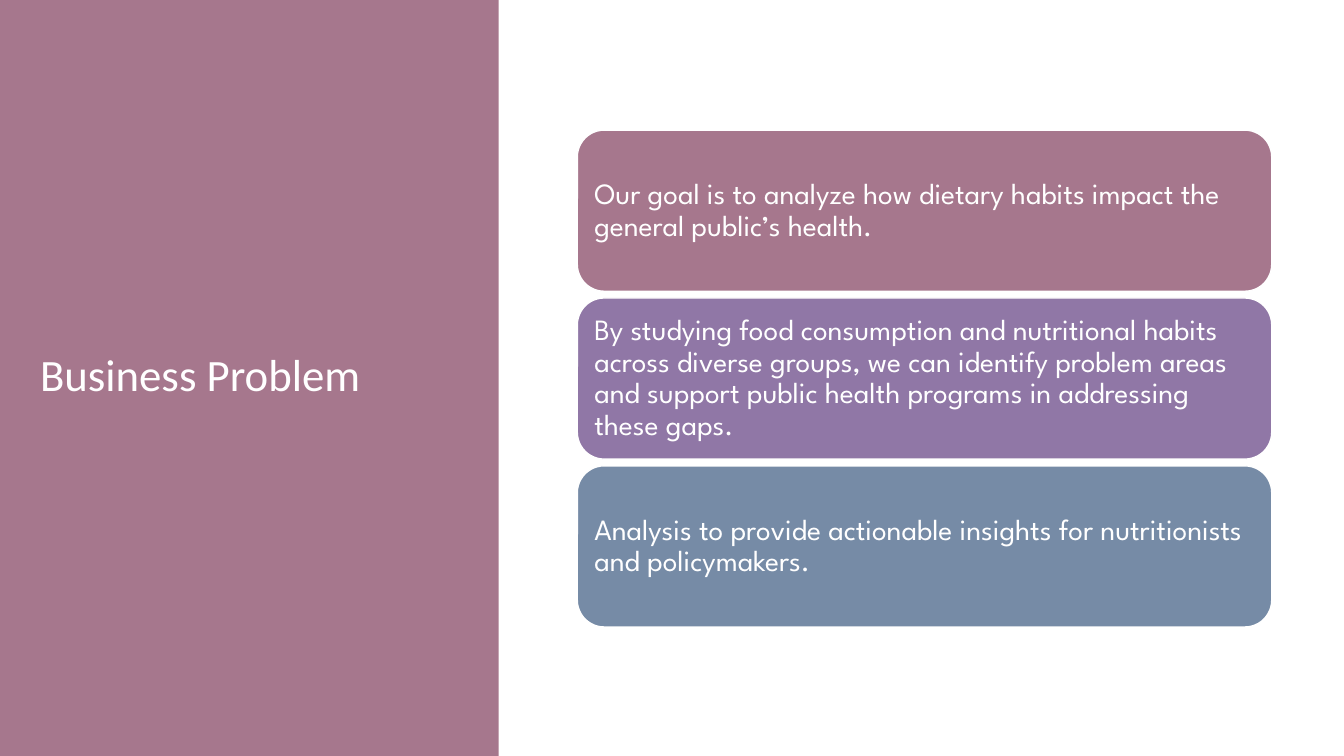
"""Build the Business Problem slide with a title panel and three goal cards."""
from pptx import Presentation
from pptx.dml.color import RGBColor
from pptx.enum.shapes import MSO_SHAPE
from pptx.enum.text import MSO_ANCHOR, PP_ALIGN
from pptx.util import Cm, Pt

RECTANGLE, ROUNDED = MSO_SHAPE.RECTANGLE, MSO_SHAPE.ROUNDED_RECTANGLE
MIDDLE, LEFT = MSO_ANCHOR.MIDDLE, PP_ALIGN.LEFT

WHITE = RGBColor(0xFF, 0xFF, 0xFF)
ROSE = RGBColor(0xA6, 0x77, 0x8D)
VIOLET = RGBColor(0x90, 0x77, 0xA6)
SLATE = RGBColor(0x76, 0x8B, 0xA6)

TITLE = "Business Problem"
CARDS = [
    ("Our goal is to analyze how dietary habits impact the general public’s health.", ROSE),
    ("By studying food consumption and nutritional habits across diverse groups, "
     "we can identify problem areas and support public health programs in "
     "addressing these gaps.", VIOLET),
    ("Analysis to provide actionable insights for nutritionists and policymakers.", SLATE),
]

SLIDE_WIDTH, SLIDE_HEIGHT = 33.87, 19.05
PANEL_WIDTH = 12.57
CARD_LEFT, CARD_TOP = 14.55, 3.28
CARD_WIDTH, CARD_HEIGHT, CARD_PITCH = 17.5, 4.06, 4.23
CARD_INSET = 0.23


def add_block(page, kind, left, top, width, height, color):
    block = page.shapes.add_shape(kind, Cm(left), Cm(top), Cm(width), Cm(height))
    block.shadow.inherit = False
    block.fill.solid()
    block.fill.fore_color.rgb = color
    block.line.fill.background()
    return block


def write_text(shape, text, font_name, size):
    frame = shape.text_frame
    frame.word_wrap = True
    frame.vertical_anchor = MIDDLE
    para = frame.paragraphs[0]
    para.alignment = LEFT
    para.line_spacing = 0.9
    span = para.add_run()
    span.text = text
    span.font.name = font_name
    span.font.size = Pt(size)
    span.font.color.rgb = WHITE
    return frame


def add_card(page, index, text, color):
    top = CARD_TOP + index * CARD_PITCH
    card = add_block(page, ROUNDED, CARD_LEFT, top, CARD_WIDTH, CARD_HEIGHT, color)
    card.line.color.rgb = WHITE
    card.line.width = Pt(1)
    frame = write_text(card, text, "League Spartan", 21)
    frame.margin_left = frame.margin_right = Cm(CARD_INSET)
    frame.margin_top = frame.margin_bottom = Cm(CARD_INSET)


def main():
    deck = Presentation()
    deck.slide_width, deck.slide_height = Cm(SLIDE_WIDTH), Cm(SLIDE_HEIGHT)
    page = deck.slides.add_slide(deck.slide_layouts[6])
    add_block(page, RECTANGLE, 0, 0, PANEL_WIDTH, SLIDE_HEIGHT, ROSE)
    title_box = page.shapes.add_textbox(Cm(0.76), Cm(1.8), Cm(9.75), Cm(15.42))
    write_text(title_box, TITLE, "Calibri", 32)
    for index, (text, color) in enumerate(CARDS):
        add_card(page, index, text, color)
    deck.save("out.pptx")


if __name__ == "__main__":
    main()
